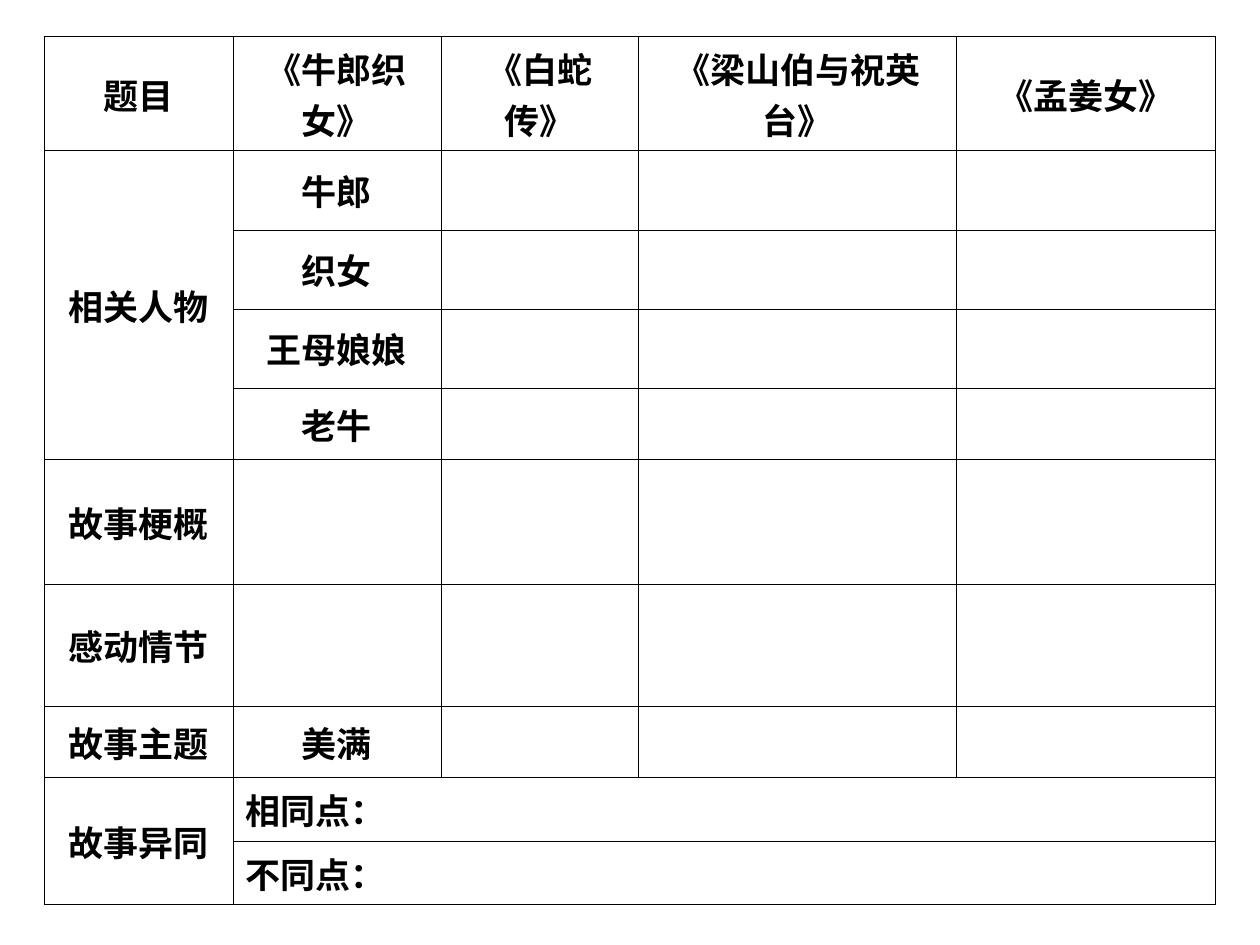
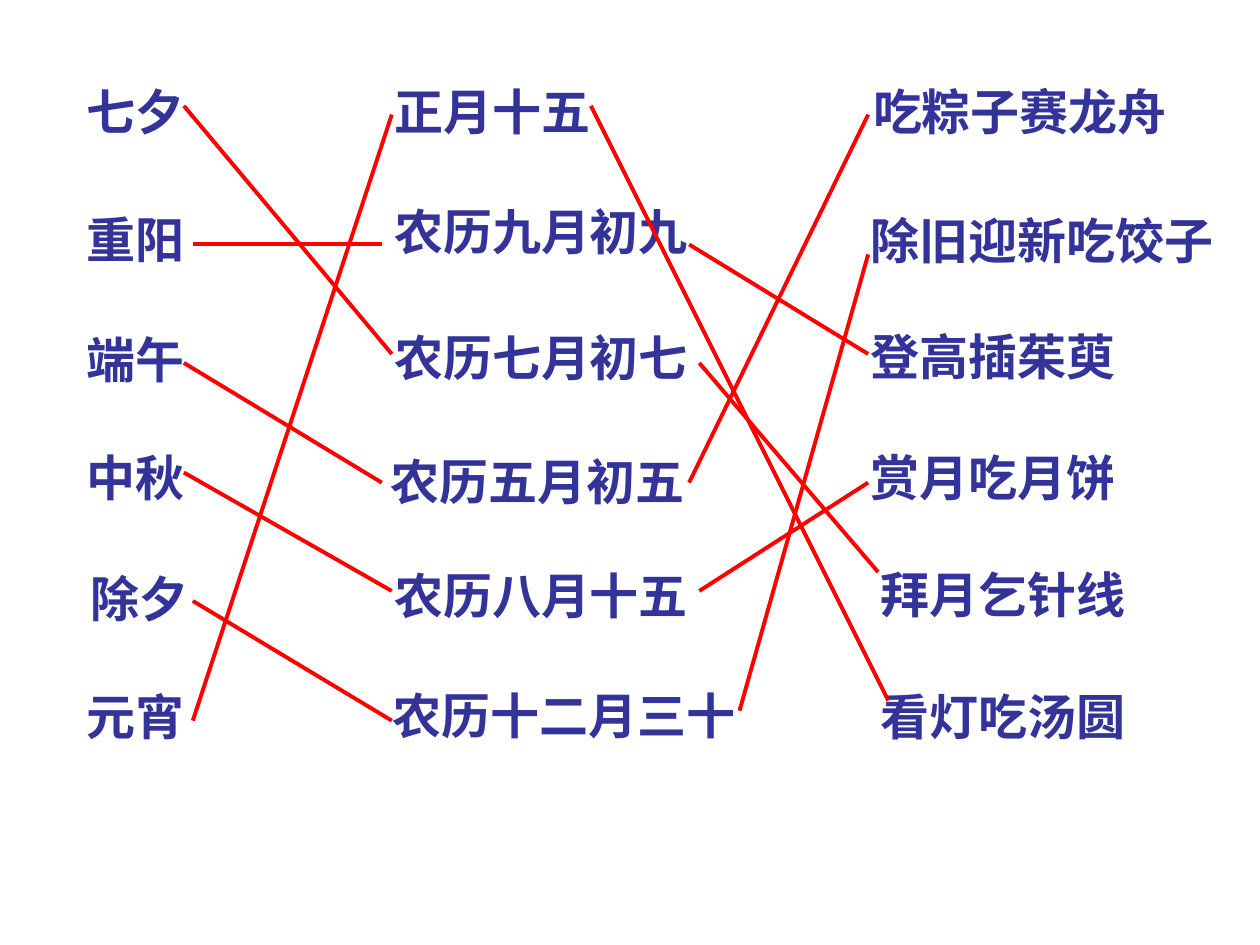
from lxml import etree
from pptx import Presentation
from pptx.dml.color import RGBColor
from pptx.enum.lang import MSO_LANGUAGE_ID
from pptx.enum.shapes import MSO_CONNECTOR
from pptx.enum.text import MSO_ANCHOR, MSO_AUTO_SIZE, PP_ALIGN
from pptx.oxml.ns import qn
from pptx.util import Pt

# Shared style
BLACK = RGBColor(0x00, 0x00, 0x00)
INDIGO = RGBColor(0x33, 0x33, 0x99)
RED = RGBColor(0xFF, 0x00, 0x00)
FONT = "Arial"
CHINESE = MSO_LANGUAGE_ID.SIMPLIFIED_CHINESE
STRAIGHT = MSO_CONNECTOR.STRAIGHT
MIDDLE, TOP = MSO_ANCHOR.MIDDLE, MSO_ANCHOR.TOP
CENTER, LEFT = PP_ALIGN.CENTER, PP_ALIGN.LEFT
GROW = MSO_AUTO_SIZE.SHAPE_TO_FIT_TEXT
BORDER_WIDTH = Pt(0.45)

# Story comparison table
COLUMN_WIDTHS = [107.7, 118.9, 113.1, 181.7, 147.5]
ROW_HEIGHTS = [55.4, 45.2, 45.2, 45.2, 41, 71, 69.8, 41, 31.7, 31.7]
STORY_ROWS = [
    ["题目", "《牛郎织女》", "《白蛇传》", "《梁山伯与祝英台》", "《孟姜女》"],
    ["相关人物", "牛郎"],
    ["", "织女"],
    ["", "王母娘娘"],
    ["", "老牛"],
    ["故事梗概"],
    ["感动情节"],
    ["故事主题", "美满"],
    ["故事异同", "相同点："],
    ["", "不同点："],
]
COMPARISON_ROWS = (8, 9)
MERGES = [((1, 0), (4, 0)), ((8, 0), (9, 0)), ((8, 1), (8, 4)), ((9, 1), (9, 4))]

# Matching exercise: text, left, top, width
FESTIVALS = [
    ("七夕", 42.5, 43.2, 108),
    ("重阳", 42.5, 115.9, 113),
    ("端午", 42.5, 185, 136),
    ("中秋", 42.5, 252, 113),
    ("除夕", 44.6, 321.1, 102),
    ("元宵", 42.5, 388.8, 91),
]
DATES = [
    ("正月十五", 218.2, 43.2, 170),
    ("农历九月初九", 218.2, 111.6, 199),
    ("农历七月初七", 218.2, 183.6, 193),
    ("农历五月初五", 216, 254.2, 209.5),
    ("农历八月十五", 218.2, 319.7, 221),
    ("农历十二月三十", 217.4, 388.1, 232.5),
]
CUSTOMS = [
    ("吃粽子赛龙舟", 491.8, 43.2, 204.5),
    ("除旧迎新吃饺子", 490.3, 116.6, 229),
    ("登高插茱萸", 490.3, 182.9, 209.5),
    ("赏月吃月饼", 490.3, 252, 227),
    ("拜月乞针线", 496.1, 319, 223),
    ("看灯吃汤圆", 496.1, 388.8, 187),
]
# For each festival: festival to date, then date to custom
LINKS = [
    ((105.1, 60.5), (223.9, 202.3)), ((399.6, 207.4), (501.8, 326.9)),
    ((105.1, 207.4), (218.2, 275.8)), ((393.8, 275.8), (496.1, 65.5)),
    ((105.1, 270), (223.9, 337.7)), ((399.6, 337.7), (496.1, 275.8)),
    ((110.2, 343.4), (223.9, 411.8)), ((422.6, 406.1), (496.1, 145.4)),
    ((110.2, 411.8), (223.9, 65.5)), ((337.7, 60.5), (507.6, 400.3)),
    ((110.2, 139.7), (218.2, 139.7)), ((393.8, 139.7), (496.1, 202.3)),
]


def add_text(paragraph, text, size, color):
    run = paragraph.add_run()
    run.text = text
    font = run.font
    font.name, font.size, font.bold = FONT, Pt(size), True
    font.color.rgb = color
    font.language_id = CHINESE


def set_borders(cell):
    properties = cell._tc.get_or_add_tcPr()
    for index, side in enumerate(("lnL", "lnR", "lnT", "lnB")):
        border = etree.Element(qn(f"a:{side}"), w=str(int(BORDER_WIDTH)))
        fill = etree.SubElement(border, qn("a:solidFill"))
        etree.SubElement(fill, qn("a:srgbClr"), val=str(BLACK))
        properties.insert(index, border)


def add_story_table(slide):
    frame = slide.shapes.add_table(
        len(ROW_HEIGHTS), len(COLUMN_WIDTHS), Pt(25.4), Pt(20.9),
        Pt(sum(COLUMN_WIDTHS)), Pt(sum(ROW_HEIGHTS)))
    table = frame.table
    table.first_row = table.horz_banding = False
    for column, width in zip(table.columns, COLUMN_WIDTHS):
        column.width = Pt(width)
    for row, height in zip(table.rows, ROW_HEIGHTS):
        row.height = Pt(height)
    for cell in table.iter_cells():
        cell.fill.background()
        set_borders(cell)
    for start, end in MERGES:
        table.cell(*start).merge(table.cell(*end))
    for row_index, texts in enumerate(STORY_ROWS):
        for column_index, text in enumerate(texts):
            if not text:
                continue
            cell = table.cell(row_index, column_index)
            is_comparison = row_index in COMPARISON_ROWS and column_index == 1
            cell.vertical_anchor = TOP if is_comparison else MIDDLE
            paragraph = cell.text_frame.paragraphs[0]
            paragraph.alignment = LEFT if is_comparison else CENTER
            add_text(paragraph, text, 20, BLACK)


def add_label(slide, text, left, top, width):
    shape = slide.shapes.add_textbox(Pt(left), Pt(top), Pt(width), Pt(41))
    frame = shape.text_frame
    frame.word_wrap = True
    frame.auto_size = GROW
    add_text(frame.paragraphs[0], text, 28, INDIGO)


def add_link(slide, start, end):
    connector = slide.shapes.add_connector(
        STRAIGHT, *(Pt(value) for value in start + end))
    connector.line.color.rgb = RED
    connector.line.width = Pt(2.25)
    etree.SubElement(connector._element.spPr, qn("a:effectLst"))


def main():
    presentation = Presentation()
    presentation.slide_width, presentation.slide_height = Pt(720), Pt(540)
    blank = presentation.slide_layouts[6]

    # Slide 1: comparing four folk tales
    add_story_table(presentation.slides.add_slide(blank))

    # Slide 2: matching festivals, dates and customs
    slide = presentation.slides.add_slide(blank)
    for label in FESTIVALS + DATES + CUSTOMS:
        add_label(slide, *label)
    for start, end in LINKS:
        add_link(slide, start, end)

    presentation.save("out.pptx")


if __name__ == "__main__":
    main()
